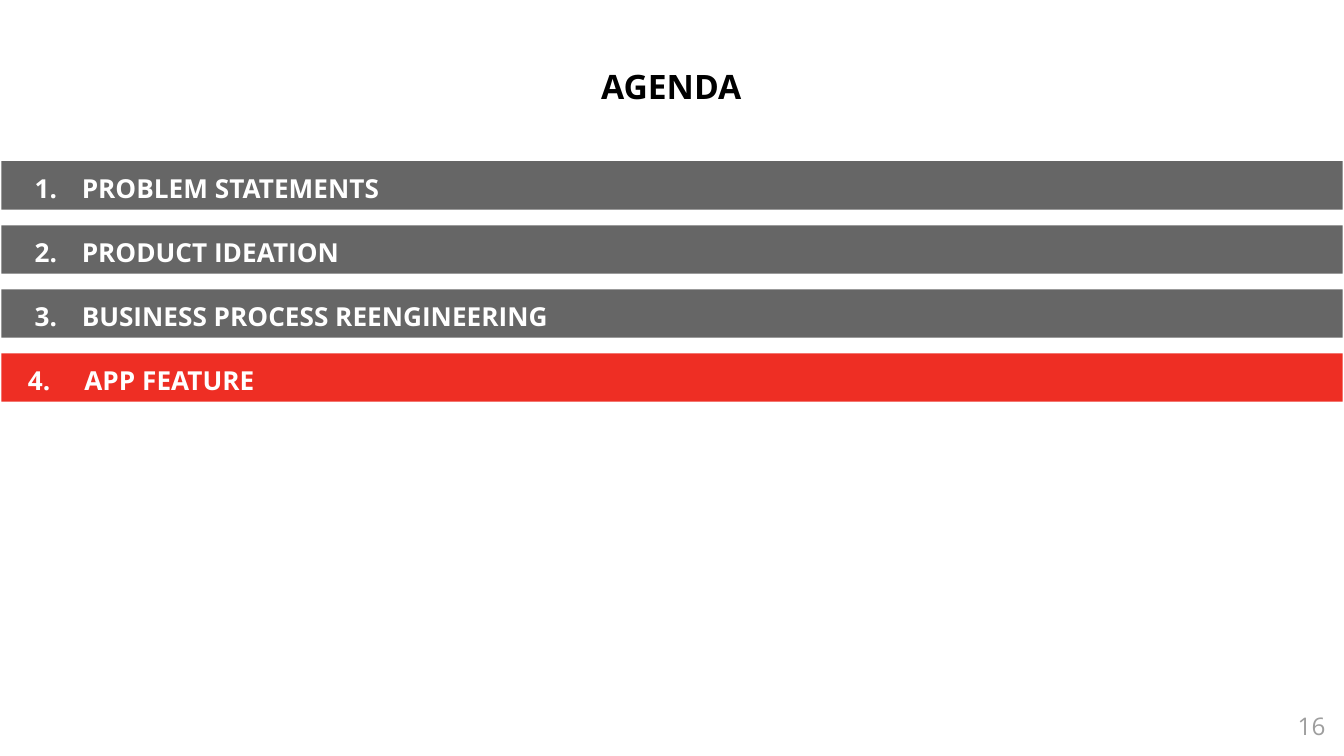
from lxml.etree import SubElement
from pptx import Presentation
from pptx.dml.color import RGBColor
from pptx.enum.shapes import MSO_SHAPE
from pptx.enum.text import MSO_ANCHOR, PP_ALIGN
from pptx.oxml.ns import qn
from pptx.util import Inches, Pt

GREY, RED, WHITE = "666666", "EE2E24", "FFFFFF"

PAST_TOPICS = ["PROBLEM STATEMENTS", "PRODUCT IDEATION", "BUSINESS PROCESS REENGINEERING"]
CURRENT_TOPIC = "4.\tAPP FEATURE"
FIRST_TOP, LAST_TOP = 1.2, 2.63
BAR_STEP = (LAST_TOP - FIRST_TOP) / len(PAST_TOPICS)


def color(hex_value):
    return RGBColor.from_string(hex_value)


def write(holder, text, size, hex_value, bold, align, anchor):
    frame = holder.text_frame
    frame_format = {"word_wrap": True, "vertical_anchor": anchor}
    for side in ("left", "right", "top", "bottom"):
        frame_format[f"margin_{side}"] = Inches(0.1)
    for name, value in frame_format.items():
        setattr(frame, name, value)

    paragraph = frame.paragraphs[0]
    paragraph.alignment = align
    run = paragraph.add_run()
    run.text = text
    font_format = {"name": "Open Sans", "size": Pt(size), "bold": bold}
    for name, value in font_format.items():
        setattr(run.font, name, value)
    run.font.color.rgb = color(hex_value)
    return paragraph


def hang(paragraph, indent, hanging):
    properties = paragraph._p.get_or_add_pPr()
    properties.set("marL", str(Inches(indent)))
    properties.set("indent", str(Inches(hanging)))
    return properties


def number(properties, start):
    bullet_color = SubElement(properties, qn("a:buClr"))
    SubElement(bullet_color, qn("a:srgbClr"), val=WHITE)
    SubElement(properties, qn("a:buFont"), typeface="Open Sans")
    SubElement(properties, qn("a:buAutoNum"), type="arabicPeriod", startAt=str(start))


def add_label(slide, box, text, size, hex_value, bold, align, anchor):
    label = slide.shapes.add_textbox(*map(Inches, box))
    write(label, text, size, hex_value, bold, align, anchor)


def add_agenda_bar(slide, row, topic, fill):
    top = FIRST_TOP + row * BAR_STEP
    bar = slide.shapes.add_shape(
        MSO_SHAPE.RECTANGLE, Inches(0.01), Inches(top), Inches(9.98), Inches(0.36))
    bar.shadow.inherit = False
    bar.fill.solid()
    bar.fill.fore_color.rgb = color(fill)
    bar.line.fill.background()
    entry = write(bar, topic, 14, WHITE, True, PP_ALIGN.LEFT, MSO_ANCHOR.MIDDLE)
    entry.line_spacing = 1.15
    return entry


def main():
    deck = Presentation()
    deck.slide_width = Inches(10)
    deck.slide_height = deck.slide_width * 9 // 16
    slide = deck.slides.add_slide(deck.slide_layouts[6])

    # Numbered topics already covered
    for row, topic in enumerate(PAST_TOPICS):
        entry = add_agenda_bar(slide, row, topic, GREY)
        number(hang(entry, 0.5, -0.35), row + 1)

    # Title
    add_label(slide, (3.51, 0.46, 2.97, 0.36), "AGENDA", 18, "000000", True,
              PP_ALIGN.CENTER, MSO_ANCHOR.MIDDLE)

    # Page number
    add_label(slide, (9.36, 5.19, 0.6, 0.43), "16", 13, "9E9E9E", False,
              PP_ALIGN.RIGHT, MSO_ANCHOR.TOP)

    # Current topic
    entry = add_agenda_bar(slide, len(PAST_TOPICS), CURRENT_TOPIC, RED)
    hang(entry, 0.52, -0.42)

    deck.save("out.pptx")


if __name__ == "__main__":
    main()
